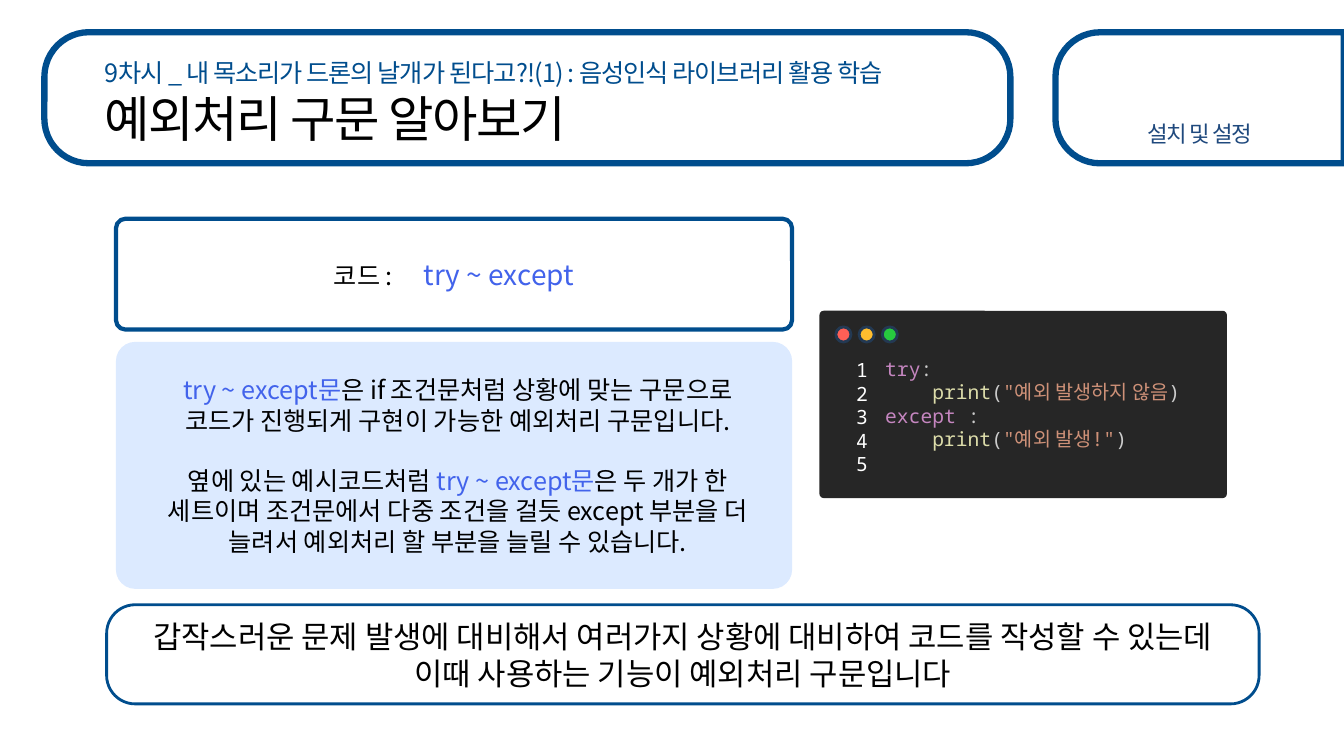
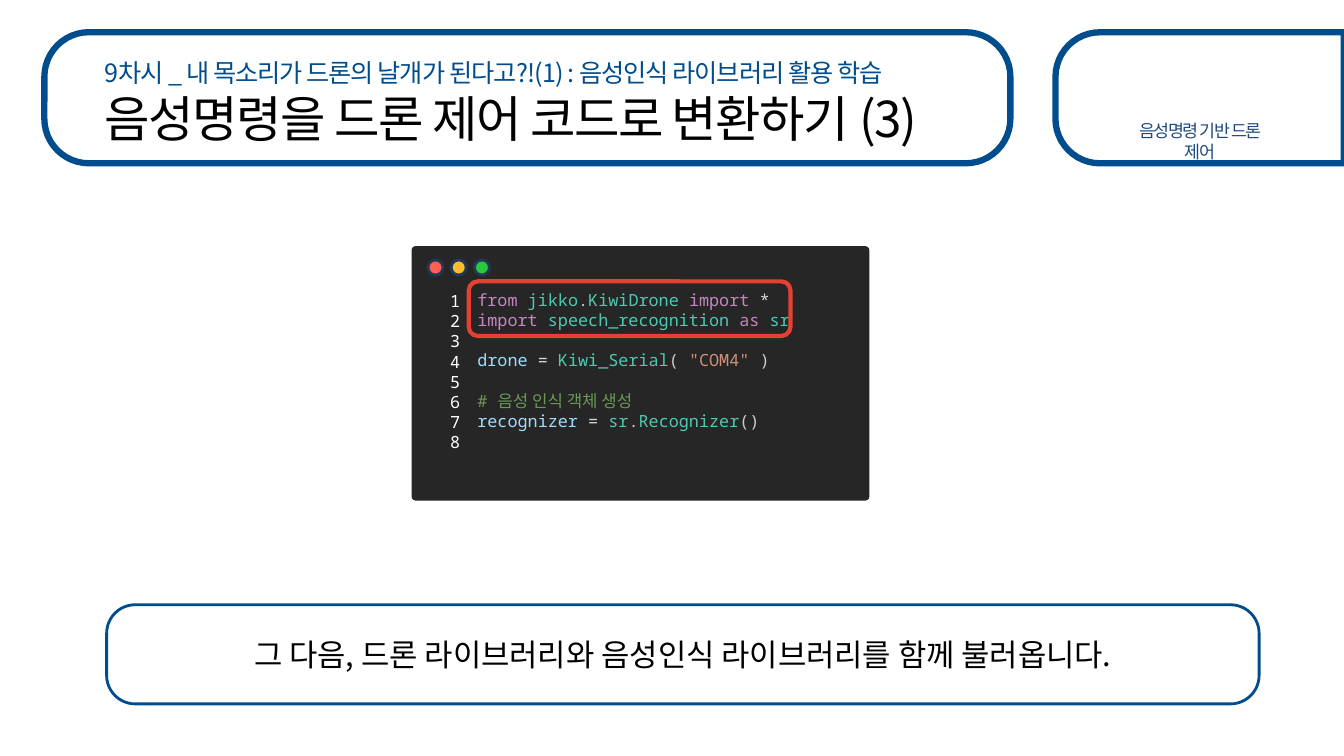
from dataclasses import dataclass

from lxml.etree import SubElement
from pptx import Presentation
from pptx.dml.color import RGBColor as Color
from pptx.enum.shapes import MSO_SHAPE as Shape
from pptx.enum.text import MSO_ANCHOR as Anchor, PP_ALIGN as Align
from pptx.oxml.ns import qn
from pptx.util import Inches, Pt


@dataclass(frozen=True)
class Theme:
    sans: str = "Noto Sans CJK KR"
    mono: str = "Noto Sans Mono"
    white: str = "FFFFFF"
    black: str = "000000"
    navy: str = "004D8D"
    slate: str = "1F497D"
    blue: str = "4263EB"
    pale: str = "DCEAFF"
    alert: str = "E54133"
    dark: str = "262626"
    rim: str = "233953"
    lights: tuple = ("FF5F56", "FFBD2E", "27C93F")
    key: str = "C586C0"
    func: str = "DCDCAA"
    kind: str = "4EC9B0"
    text: str = "CE9178"
    name: str = "9CDCFE"
    note: str = "6A9955"
    sign: str = "CCCCCC"
    star: str = "D4D4D4"
    title: float = 35.3
    large: float = 22
    mid: float = 20
    body: float = 18
    tag: float = 16
    small: float = 12.4
    code: float = 14
    dense: float = 12
    pitch: float = 1.2


T = Theme()


class Deck:
    """Builds slides on a grid of 160 columns by 90 rows."""

    def __init__(self):
        self.show = Presentation()
        self.show.slide_width = Inches(13.333)
        self.show.slide_height = Inches(7.5)
        self.col = self.show.slide_width / 160
        self.row = self.show.slide_height / 90
        self.slide = None

    def area(self, x, y, w, h):
        return [round(v * u) for v, u in
                zip((x, y, w, h), (self.col, self.row) * 2)]

    def box(self, x, y, w, h, form=Shape.ROUNDED_RECTANGLE, curve=None,
            fill=None, line=None, width=0):
        shape = self.slide.shapes.add_shape(form, *self.area(x, y, w, h))
        shape.shadow.inherit = False
        if curve is not None:
            shape.adjustments[0] = curve / min(w, h)
        if fill:
            shape.fill.solid()
            shape.fill.fore_color.rgb = Color.from_string(fill)
        else:
            shape.fill.background()
        if line:
            shape.line.color.rgb = Color.from_string(line)
            shape.line.width = Pt(width)
        else:
            shape.line.fill.background()
        return shape

    def style(self, run, ink, font, size, track=0, own=None):
        run.font.size = Pt(own or size)
        run.font.color.rgb = Color.from_string(ink)
        run.font.name = font
        props = run._r.get_or_add_rPr()
        SubElement(props, qn("a:ea")).set("typeface", T.sans)
        if track:
            props.set("spc", str(round(track * 100)))

    def put(self, shape, lines, size, font=T.sans, align=Align.LEFT,
            anchor=Anchor.TOP):
        frame = shape.text_frame
        frame.word_wrap = True
        frame.vertical_anchor = anchor
        para, gap = None, 0
        for line in lines:
            if not line:
                gap += size * T.pitch
                continue
            para = frame.add_paragraph() if para else frame.paragraphs[0]
            para.alignment = align
            if gap:
                para.space_before = Pt(gap)
            gap = 0
            for words, ink, *more in line:
                run = para.add_run()
                run.text = words
                self.style(run, ink, font, size, *more)

    def label(self, x, y, w, h, lines, size, **look):
        shape = self.slide.shapes.add_textbox(*self.area(x, y, w, h))
        self.put(shape, lines, size, **look)

    def page(self, title, tag, size):
        self.slide = self.show.slides.add_slide(self.show.slide_layouts[6])
        edge = dict(curve=5.3, fill=T.white, line=T.navy, width=4.5)
        tab = self.box(135.02, -5.52, 15.6, 34.32,
                       form=Shape.ROUND_2_SAME_RECTANGLE, **edge)
        tab.rotation = 270
        self.box(5.28, 3.84, 115, 15.6, **edge)
        self.label(11.3, 6.25, 100, 3.7, [[
            ("9차시 _ ", T.navy, -1),
            ("내 목소리가 드론의 날개가 된다고?!(1) : "
             "음성인식 라이브러리 활용 학습", T.navy, -0.7)]], T.body)
        self.label(11.3, 9.85, 106.7, 7.1, [[(title, T.black, -1)]], T.title)
        self.label(132.7, 13.7, 20.3, 4.7, [[(tag, T.slate, -1)]], size,
                   align=Align.CENTER)

    def note(self, *lines):
        shape = self.box(12.7, 72, 137.2, 11.8, curve=3.4, fill=T.white,
                         line=T.navy, width=2)
        self.put(shape, [[(line, T.black)] for line in lines], T.large,
                 align=Align.CENTER, anchor=Anchor.MIDDLE)

    def code(self, x, y, w, h, lines, size):
        self.box(x, y, w, h, curve=0.5, fill=T.dark)
        top = y + 1.92 * size / T.code
        for i, light in enumerate(T.lights):
            self.box(x + 1.95 + 2.76 * i, top, 1.8, 1.8, form=Shape.OVAL,
                     fill=light, line=T.rim, width=2)
        tall = (len(lines) * size * T.pitch + 7.2) / 6
        self.label(x + 6.65, top + 2.95, w - 7.5, tall, lines, size,
                   font=T.mono)
        count = [[(str(i + 1), T.white)] for i in range(len(lines))]
        self.label(x + 1.75, top + 3.1, 5.2, tall, count, size,
                   font=T.mono, align=Align.RIGHT)


def errors(deck):
    deck.page("예외처리 구문 알아보기", "설치 및 설정", T.tag)
    deck.note("갑작스러운 문제 발생에 대비해서 여러가지 상황에 대비하여 "
              "코드를 작성할 수 있는데",
              "이때 사용하는 기능이 예외처리 구문입니다")
    mid = dict(align=Align.CENTER, anchor=Anchor.MIDDLE)
    head = deck.box(13.8, 26.04, 80.5, 13.2, curve=1.15, line=T.navy, width=3)
    deck.put(head, [[("코드 :", T.black), (" ", T.black, 17.5, T.mid),
                     ("try ~ except", T.blue, 0, T.mid)]], T.body, **mid)
    deck.box(13.8, 40.7, 80.5, 29.4, curve=2.3, fill=T.pale)
    term = ("try ~ except문", T.blue)
    deck.label(16.9, 40.7, 75.2, 29.4, [
        [term, ("은 if 조건문처럼 상황에 맞는 구문으로 코드가 진행되게 "
                "구현이 가능한 예외처리 구문입니다.", T.black)],
        [],
        [("옆에 있는 예시코드처럼 ", T.black), term,
         ("은 두 개가 한 세트이며 조건문에서 다중 조건을 걸듯 except 부분을 "
          "더 늘려서 예외처리 할 부분을 늘릴 수 있습니다.", T.black)],
    ], T.body, **mid)
    call = [("    ", T.sign), ("print", T.func), ("(", T.sign)]
    end = (")", T.sign)
    deck.code(97.56, 37, 48.5, 22.3, [
        [("try", T.key), (":", T.sign)],
        [*call, ('"예외 발생하지 않음', T.text), end],
        [("except", T.key), (" :", T.sign)],
        [*call, ('"예외 발생!"', T.text), end],
        [],
    ], T.code)


def voice(deck):
    deck.page("음성명령을 드론 제어 코드로 변환하기 (3)",
              "음성명령 기반 드론 제어", T.small)
    deck.note("그 다음, 드론 라이브러리와 음성인식 라이브러리를 함께 불러옵니다.")
    deck.code(49, 29.3, 54.5, 30.3, [
        [("from ", T.key), ("jikko", T.kind), (".", T.sign),
         ("KiwiDrone ", T.kind), ("import ", T.key), ("*", T.star)],
        [("import ", T.key), ("speech_recognition ", T.kind),
         ("as ", T.key), ("sr", T.kind)],
        [],
        [("drone ", T.name), ("= ", T.star), ("Kiwi_Serial", T.kind),
         ("( ", T.sign), ('"COM4"', T.text), (" )", T.sign)],
        [],
        [("# 음성 인식 객체 생성", T.note)],
        [("recognizer ", T.name), ("= ", T.star), ("sr", T.kind),
         (".", T.sign), ("Recognizer", T.kind), ("()", T.sign)],
        [],
    ], T.dense)
    deck.box(55.8, 33.5, 38.3, 6.5, curve=1.08, line=T.alert, width=3)


def main():
    deck = Deck()
    errors(deck)
    voice(deck)
    deck.show.save("out.pptx")


if __name__ == "__main__":
    main()
